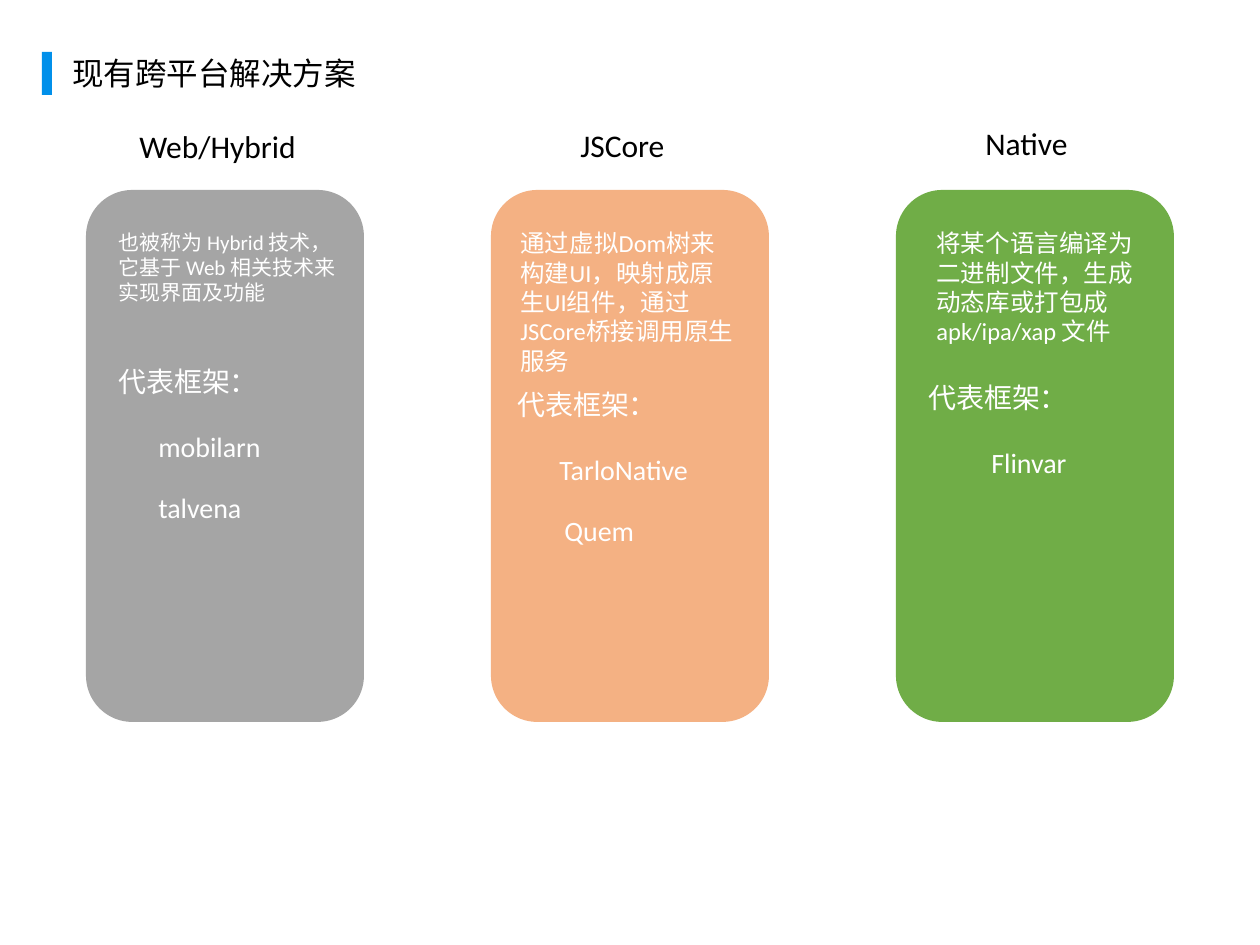
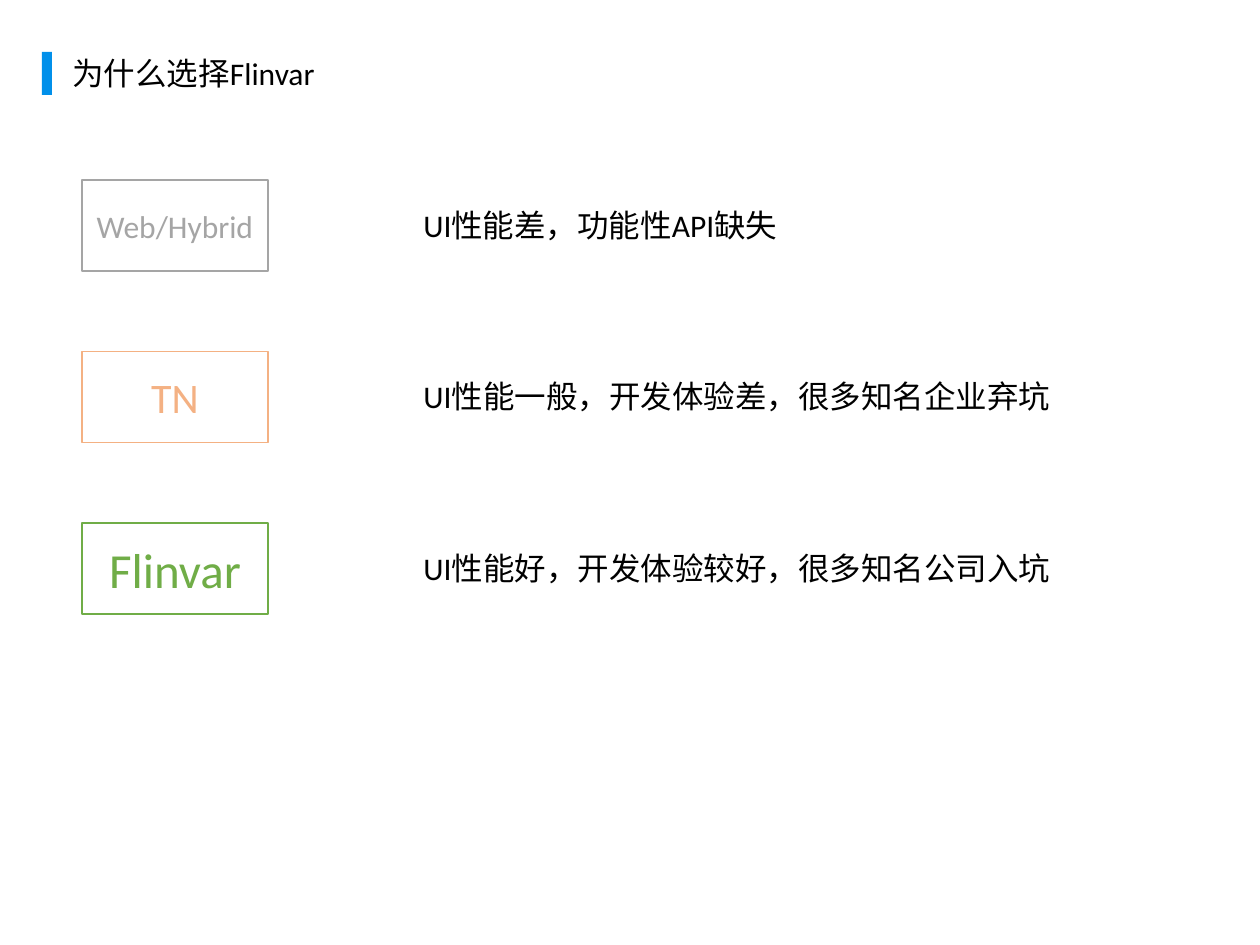
from dataclasses import dataclass

from pptx import Presentation
from pptx.dml.color import RGBColor
from pptx.enum.shapes import MSO_SHAPE
from pptx.enum.text import MSO_ANCHOR, MSO_AUTO_SIZE, PP_ALIGN
from pptx.presentation import Presentation as Deck
from pptx.shapes.autoshape import Shape
from pptx.slide import Slide
from pptx.text.text import TextFrame
from pptx.util import Emu, Pt

PX_PER_INCH = 126


def px(n: float) -> Emu:
    """Turn pixels into EMU."""
    return Emu(round(n * 914400 / PX_PER_INCH))


@dataclass(frozen=True)
class Theme:
    """Colours, font and type sizes of the deck."""
    font: str = "Calibri"
    ink: str = "000000"
    white: str = "FFFFFF"
    accent: str = "0190EA"
    web: str = "A5A5A5"
    bridge: str = "F4B183"
    native: str = "70AD47"
    title: int = 18
    item: int = 16


@dataclass(frozen=True)
class Label:
    """A piece of text, placed relative to its card."""
    text: str
    dx: int
    y: int
    width: int
    size: int = 16


@dataclass(frozen=True)
class Framework:
    """An example framework listed on a card."""
    name: str
    dx: int
    width: int


@dataclass(frozen=True)
class Card:
    """One family of cross-platform solutions."""
    color: str
    heading: Label
    summary: Label
    caption: Label
    frameworks: tuple[Framework, ...]


@dataclass(frozen=True)
class Verdict:
    """A named option with its assessment."""
    name: str
    size: int
    color: str
    line_width: float
    text: str
    text_width: int


THEME = Theme()
CAPTION = "代表框架："
CHOICE = "Flinvar"

CARD_X, CARD_Y, CARD_W, CARD_H, CARD_PITCH = 86, 190, 278, 532, 405
FRAMEWORK_DROP, FRAMEWORK_PITCH = 65, 61
ROW_X, ROW_Y, ROW_W, ROW_H, ROW_PITCH = 82, 180, 186, 91, 171.5
VERDICT_X, VERDICT_DROP = 411, 19.5

CARDS = (
    Card(THEME.web,
         Label("Web/Hybrid", 41, 121, 195, THEME.title),
         Label("也被称为 Hybrid 技术，它基于 Web 相关技术来实现界面及功能", 20, 223, 243, 12),
         Label(CAPTION, 20, 358, 166),
         (Framework("mobilarn", 60, 156), Framework("talvena", 60, 116))),
    Card(THEME.bridge,
         Label("JSCore", 77, 120, 123, THEME.title),
         Label("通过虚拟Dom树来构建UI，映射成原生UI组件，通过JSCore桥接调用原生服务", 17, 222, 243, 14),
         Label(CAPTION, 14, 381, 166),
         (Framework("TarloNative", 56, 166), Framework("Quem", 61, 154))),
    Card(THEME.native,
         Label("Native", 77, 118, 123, THEME.title),
         Label("将某个语言编译为二进制文件，生成动态库或打包成 apk/ipa/xap 文件", 28, 222, 231, 14),
         Label(CAPTION, 20, 374, 166),
         (Framework(CHOICE, 83, 113),)),
)

VERDICTS = (
    Verdict("Web/Hybrid", 18, THEME.web, 1.5, "UI性能差，功能性API缺失", 389),
    Verdict("TN", 24, THEME.bridge, 1, "UI性能一般，开发体验差，很多知名企业弃坑", 659),
    Verdict(CHOICE, 28, THEME.native, 1.5, "UI性能好，开发体验较好，很多知名公司入坑", 659),
)


def write(tf: TextFrame, text: str, size: int, color: str) -> None:
    """Put one styled paragraph into a text frame."""
    tf.word_wrap = True
    p = tf.paragraphs[0]
    p.text = text
    p.font.name = THEME.font
    p.font.size = Pt(size)
    p.font.color.rgb = RGBColor.from_string(color)


def add_text(s: Slide, text: str, x: float, y: float, width: float,
             size: int, color: str) -> None:
    """Add a wrapping text box that grows with its text."""
    height = size * PX_PER_INCH / 72 * 1.2 + 12.6
    tf = s.shapes.add_textbox(px(x), px(y), px(width), px(height)).text_frame
    write(tf, text, size, color)
    tf.auto_size = MSO_AUTO_SIZE.SHAPE_TO_FIT_TEXT


def add_block(s: Slide, kind: MSO_SHAPE, x: float, y: float, width: float,
              height: float, fill: str | None = None) -> Shape:
    """Add a borderless shape, filled if a colour is given."""
    sp = s.shapes.add_shape(kind, px(x), px(y), px(width), px(height))
    sp.shadow.inherit = False
    sp.line.fill.background()
    if fill:
        sp.fill.solid()
        sp.fill.fore_color.rgb = RGBColor.from_string(fill)
    else:
        sp.fill.background()
    return sp


def add_slide(prs: Deck, title: str, title_width: int) -> Slide:
    """Add a blank slide with the accent bar and title."""
    s = prs.slides.add_slide(prs.slide_layouts[6])
    add_block(s, MSO_SHAPE.RECTANGLE, 42, 52, 10, 43, THEME.accent)
    add_text(s, title, 60, 48, title_width, THEME.title, THEME.ink)
    return s


def add_card(s: Slide, card: Card, x: int) -> None:
    """Draw a solution card with its heading and frameworks."""
    add_block(s, MSO_SHAPE.ROUNDED_RECTANGLE, x, CARD_Y, CARD_W, CARD_H, card.color)
    for label, color in ((card.heading, THEME.ink), (card.summary, THEME.white),
                         (card.caption, THEME.white)):
        add_text(s, label.text, x + label.dx, label.y, label.width, label.size, color)
    for i, fw in enumerate(card.frameworks):
        y = card.caption.y + FRAMEWORK_DROP + i * FRAMEWORK_PITCH
        add_text(s, fw.name, x + fw.dx, y, fw.width, THEME.item, THEME.white)


def add_verdict(s: Slide, verdict: Verdict, y: float) -> None:
    """Draw an outlined option name and the assessment beside it."""
    sp = add_block(s, MSO_SHAPE.RECTANGLE, ROW_X, y, ROW_W, ROW_H)
    sp.line.color.rgb = RGBColor.from_string(verdict.color)
    sp.line.width = Pt(verdict.line_width)
    tf = sp.text_frame
    write(tf, verdict.name, verdict.size, verdict.color)
    tf.vertical_anchor = MSO_ANCHOR.MIDDLE
    tf.paragraphs[0].alignment = PP_ALIGN.CENTER
    add_text(s, verdict.text, VERDICT_X, y + VERDICT_DROP, verdict.text_width,
             THEME.title, THEME.ink)


def main() -> None:
    """Build and save the deck."""
    prs = Presentation()
    prs.slide_width, prs.slide_height = px(1260), px(945)

    s = add_slide(prs, "现有跨平台解决方案", 358)
    for i, card in enumerate(CARDS):
        add_card(s, card, CARD_X + i * CARD_PITCH)

    s = add_slide(prs, f"为什么选择{CHOICE}", 276)
    for i, verdict in enumerate(VERDICTS):
        add_verdict(s, verdict, ROW_Y + i * ROW_PITCH)

    prs.save("out.pptx")


main()
